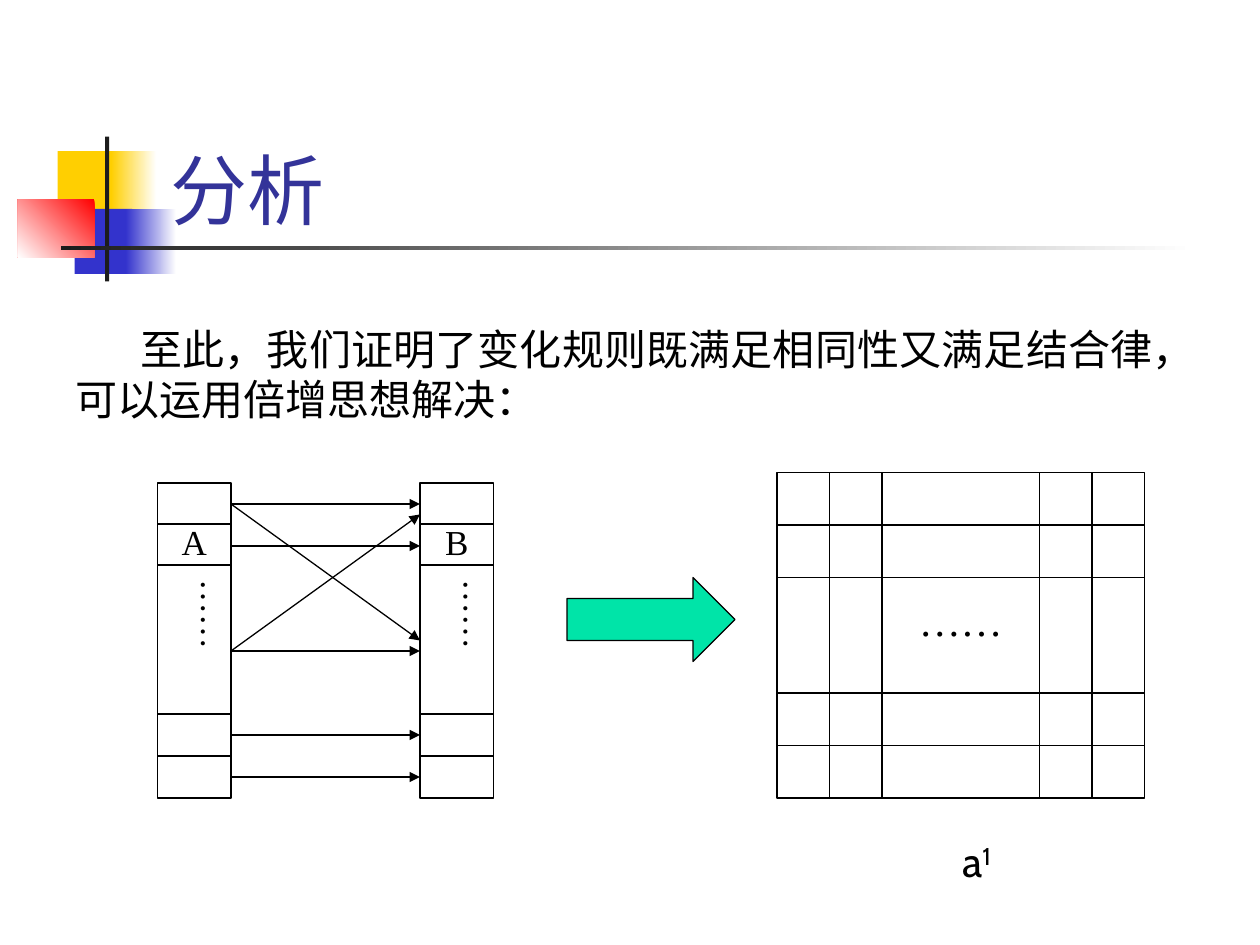
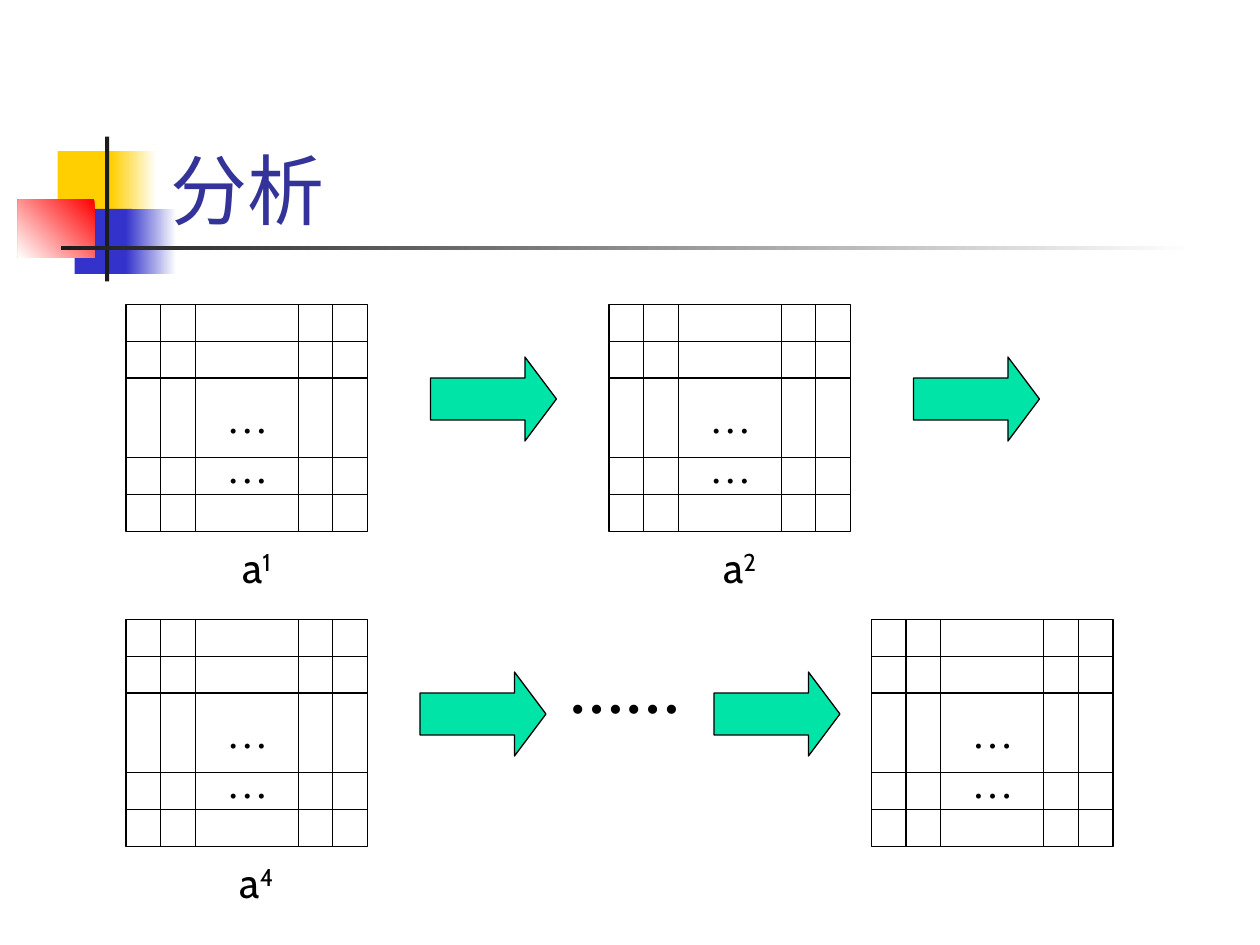
from dataclasses import dataclass

from lxml.etree import SubElement
from pptx import Presentation
from pptx.dml.color import RGBColor
from pptx.enum.shapes import MSO_CONNECTOR as CONN, MSO_SHAPE as SHAPE
from pptx.enum.text import MSO_ANCHOR as ANCHOR, MSO_AUTO_SIZE as FIT, PP_ALIGN as ALIGN
from pptx.oxml.ns import qn
from pptx.util import Pt

EMU_PER_PX = 7620


@dataclass(frozen=True)
class Theme:
    white: str = "FFFFFF"
    ink: str = "000000"
    title: str = "333399"
    yellow: str = "FFCF01"
    blue: str = "3333CC"
    red: str = "FF0000"
    bar: str = "1C1C1C"
    arrow: str = "00E4A8"
    sans: str = "Cabin"
    serif: str = "Times New Roman"
    title_size: int = 44
    dots_size: int = 32
    body_size: int = 24
    label_size: int = 20
    line_width: float = 0.75


T = Theme()


def px(*values):
    return [round(v) * EMU_PER_PX for v in values]


def rgb(code):
    return RGBColor.from_string(code)


def add_box(s, box, fill=None, outline=False, kind=SHAPE.RECTANGLE, fade=None):
    sp = s.shapes.add_shape(kind, *px(*box))
    sp.shadow.inherit = False
    if fade is not None:
        sp.fill.gradient()
        sp.fill.gradient_angle = fade
        for stop, color in zip(sp.fill.gradient_stops, (fill, T.white)):
            stop.color.rgb = rgb(color)
    elif fill:
        sp.fill.solid()
        sp.fill.fore_color.rgb = rgb(fill)
    else:
        sp.fill.background()
    if outline:
        sp.line.color.rgb = rgb(T.ink)
        sp.line.width = Pt(T.line_width)
    else:
        sp.line.fill.background()
    return sp


def add_line(s, x1, y1, x2, y2, arrow=False, target=None):
    c = s.shapes.add_connector(CONN.STRAIGHT, *px(x1, y1, x2, y2))
    c.line.color.rgb = rgb(T.ink)
    c.line.width = Pt(T.line_width)
    if arrow:
        SubElement(c.line._get_or_add_ln(), qn("a:tailEnd"), type="triangle")
    SubElement(c._element.spPr, qn("a:effectLst"))
    if target is not None:
        c.end_connect(target, 1)


def add_run(p, text, size, font, color=T.ink, bold=False, raised=False):
    r = p.add_run()
    r.text = text
    r.font.size = Pt(size)
    r.font.name = font
    r.font.bold = bold
    r.font.color.rgb = rgb(color)
    if raised:
        r._r.get_or_add_rPr().set("baseline", "30000")


def add_text(s, box, size, align=ALIGN.CENTER):
    tf = s.shapes.add_textbox(*px(*box)).text_frame
    tf.word_wrap = True
    tf.auto_size = FIT.SHAPE_TO_FIT_TEXT
    p = tf.paragraphs[0]
    p.alignment = align
    p.space_before = Pt(size * 0.625)
    return tf, p


def add_label(s, box, text, size, bold=False):
    tf, p = add_text(s, box, size)
    add_run(p, text, size, T.serif, bold=bold)
    return tf, p


def add_frame(s, title):
    add_box(s, (55, 144, 58, 62), T.yellow)
    add_box(s, (106, 144, 43, 62), T.yellow, fade=0)
    add_box(s, (71, 199, 55, 62), T.blue)
    add_box(s, (120, 199, 48, 62), T.blue, fade=0)
    add_box(s, (17, 190, 73, 55), T.red, fade=225)
    add_box(s, (100, 130, 4, 138), T.bar)
    add_box(s, (58, 234, 1080, 4), T.bar, fade=0)
    tf = s.shapes.add_textbox(*px(151, 80, 1022, 150)).text_frame
    tf.word_wrap = True
    tf.vertical_anchor = ANCHOR.BOTTOM
    add_run(tf.paragraphs[0], title, T.title_size, T.sans, T.title)


def add_body(s, text):
    _, p = add_text(s, (60, 302, 1090, 108), T.body_size, ALIGN.JUSTIFY)
    p._p.get_or_add_pPr().set("indent", str(px(62)[0]))
    add_run(p, text, T.body_size, T.serif)


def add_column(s, x, y, letter):
    w, h = 70, 300
    for dy in (39, 78, 220, 260):
        add_line(s, x, y + dy, x + w, y + dy)
    tf, _ = add_label(s, (x + 17, y + 80, 64, 140), "……", T.label_size)
    tf.margin_left, tf.margin_right, tf.margin_top, tf.margin_bottom = px(6, 6, 12, 12)
    tf._txBody.bodyPr.set("vert", "eaVert")
    column = add_box(s, (x, y, w, h), outline=True)
    add_label(s, (x, y + 30, w, 53), letter, T.label_size)
    return column


def add_mapping(s):
    left, right, top = 150, 400, 460
    add_column(s, left, top, "A")
    target = add_column(s, right, top, "B")
    start = left + 70
    for y in (480, 520, 620, 700, 740):
        add_line(s, start, y, right, y, arrow=True)
    add_line(s, start, 480, right, 610, arrow=True, target=target)
    add_line(s, start, 620, right, 490, arrow=True)


def add_block_arrow(s, x, y, w=120, h=80):
    sp = add_box(s, (x, y, w, h), T.arrow, outline=True, kind=SHAPE.RIGHT_ARROW)
    sp.adjustments[0] = 0.5
    sp.adjustments[1] = w / 4 / h


def add_matrix(s, x, y, w=230, h=216, dots_height=108, power=None, gap=4):
    add_box(s, (x, y, w, h), outline=True)
    for part in (5, 10, 21, 26):
        row = y + h * part / 31
        add_line(s, x, row, x + w, row)
    for part in (1, 2, 5, 6):
        col = x + w * part / 7
        add_line(s, col, y, col, y + h)
    dots_box = (x + w * 2 / 7, y + h * 11 / 31, w * 3 / 7, dots_height)
    add_label(s, dots_box, "……", T.body_size)
    if power:
        caption = (x + w * 6 / 35, y + h + gap, w * 26 / 35, 60)
        _, p = add_text(s, caption, T.body_size)
        add_run(p, "a", T.body_size, T.sans)
        add_run(p, power, T.body_size, T.sans, raised=True)


def build_mapping_slide(s):
    add_frame(s, "分析")
    add_body(s, "至此，我们证明了变化规则既满足相同性又满足结合律，可以运用倍增思想解决：")
    add_mapping(s)
    add_block_arrow(s, 540, 550, w=160)
    add_matrix(s, 740, 450, 350, 310, dots_height=60, power="1", gap=30)


def build_doubling_slide(s):
    add_frame(s, "分析")
    for x, y, power in ((120, 290, "1"), (580, 290, "2"), (120, 590, "4"), (830, 590, None)):
        add_matrix(s, x, y, power=power)
    for x, y in ((410, 340), (870, 340), (400, 640), (680, 640)):
        add_block_arrow(s, x, y)
    _, p = add_label(s, (510, 630, 170, 67), "……", T.dots_size, bold=True)
    p.line_spacing = 0.85


def main():
    prs = Presentation()
    prs.slide_width, prs.slide_height = px(1200, 900)
    for build in (build_mapping_slide, build_doubling_slide):
        build(prs.slides.add_slide(prs.slide_layouts[6]))
    prs.save("out.pptx")


if __name__ == "__main__":
    main()
